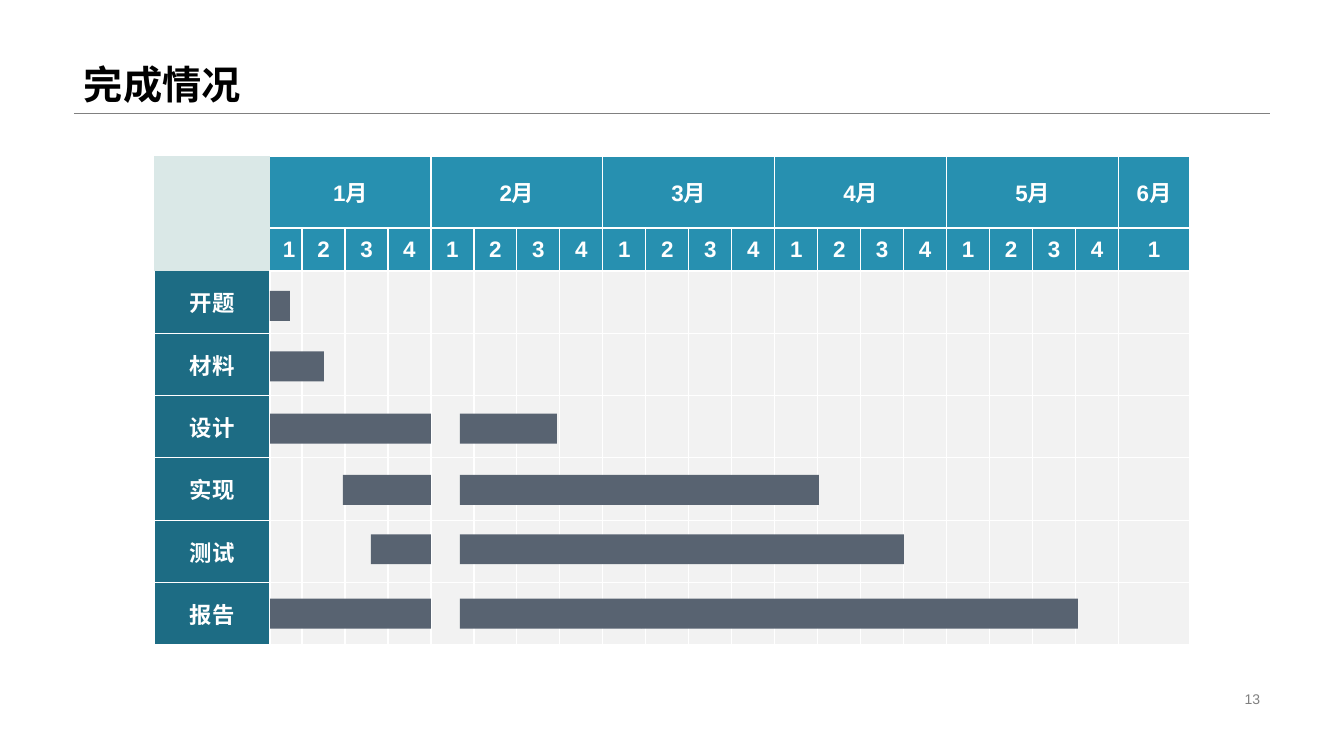
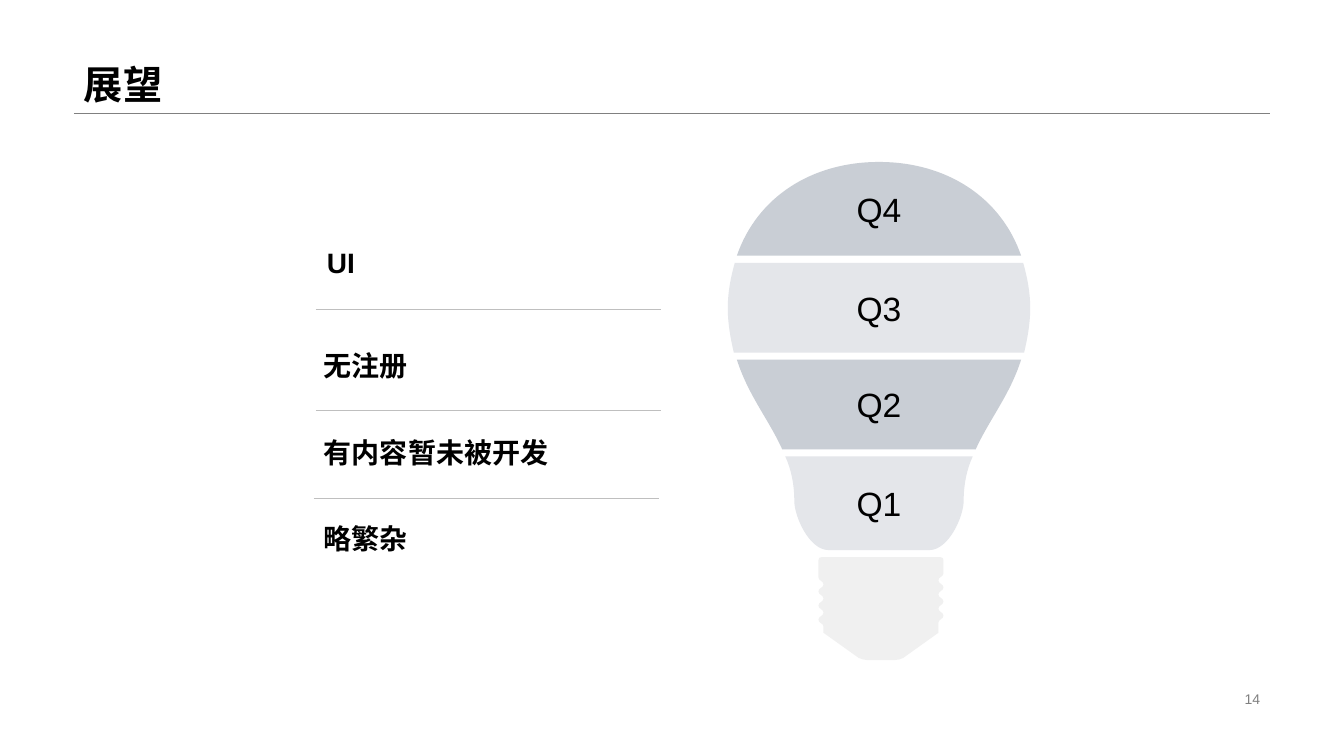
from dataclasses import dataclass

from lxml import etree
from pptx import Presentation
from pptx.dml.color import RGBColor
from pptx.enum.shapes import MSO_CONNECTOR, MSO_SHAPE
from pptx.enum.text import MSO_ANCHOR, PP_ALIGN
from pptx.oxml.ns import qn
from pptx.util import Pt

LEFT, CENTER, RIGHT = PP_ALIGN.LEFT, PP_ALIGN.CENTER, PP_ALIGN.RIGHT
MIDDLE, BOTTOM = MSO_ANCHOR.MIDDLE, MSO_ANCHOR.BOTTOM
RECT, STRAIGHT = MSO_SHAPE.RECTANGLE, MSO_CONNECTOR.STRAIGHT
SCALE = 914400 / 100.8


@dataclass(frozen=True)
class Theme:
    """Colours, font and type sizes of the deck."""
    font: str = "Arial"
    ink: str = "000000"
    white: str = "FFFFFF"
    grey: str = "808080"
    rule: str = "BFBFBF"
    corner: str = "DAE8E7"
    header: str = "2790B0"
    label: str = "1D6C84"
    grid: str = "F2F2F2"
    bar: str = "586371"
    band_dark: str = "C9CED5"
    band_light: str = "E4E6EA"
    socket: str = "F0F0F0"
    title_pt: int = 28
    band_pt: int = 24
    item_pt: int = 20
    cell_pt: int = 16
    number_pt: int = 10
    hairline_pt: float = 0.25
    border_pt: int = 1


T = Theme()

MONTHS = [("1月", 4), ("2月", 4), ("3月", 4), ("4月", 4), ("5月", 4), ("6月", 1)]
TASKS = [
    ("开题", 20, [(0, 20)]),
    ("材料", 18, [(0, 54)]),
    ("设计", 18, [(0, 161), (190, 287)]),
    ("实现", 17, [(73, 161), (190, 372), (372, 549)]),
    ("测试", 14, [(101, 161), (190, 372), (372, 634)]),
    ("报告", 16, [(0, 161), (190, 372), (372, 808)]),
]
LABEL_W, HEAD_H = 116, 115
ITEMS = [("UI", 3, 0), ("无注册", 0, 103), ("有内容暂未被开发", 0, 190), ("略繁杂", 0, 276)]
ITEM_RULES = [(2, 79), (2, 180), (0, 268)]
BANDS = [
    ("Q4", T.band_dark, (0, 0), [(67, 0, 121, 35, 141, 93)]),
    ("Q3", T.band_light, (143, 100),
     [(147, 114, 150, 129, 150, 145), (150, 161, 147, 176, 144, 189)]),
    ("Q2", T.band_dark, (141, 196), [(130, 231, 109, 256, 96, 285)]),
    ("Q1", T.band_light, (93, 292),
     [(87, 305, 84, 320, 84, 336), (84, 352, 69, 385, 50, 385)]),
]
BULB_HEIGHT = 494


def px(v):
    """Turn px into EMU."""
    return round(v * SCALE)


def rgb(color):
    """Turn a hex string into a colour."""
    return RGBColor.from_string(color)


def add_run(tf, text, size, color, bold=False, align=LEFT):
    """Write one run into the first paragraph of a text frame."""
    p = tf.paragraphs[0]
    p.alignment = align
    r = p.add_run()
    r.text = text
    r.font.name = T.font
    r.font.size = Pt(size)
    r.font.bold = bold
    r.font.color.rgb = rgb(color)
    return p


def add_text(s, box, text, size, color, bold=False, align=LEFT, anchor=BOTTOM):
    """Place a text box and return its paragraph."""
    tf = s.shapes.add_textbox(*map(px, box)).text_frame
    tf.word_wrap = True
    tf.vertical_anchor = anchor
    return add_run(tf, text, size, color, bold, align)


def add_rule(s, x, y, w, color):
    """Draw a horizontal hairline."""
    sp = s.shapes.add_connector(STRAIGHT, px(x), px(y), px(x + w), px(y))
    sp.line.color.rgb = rgb(color)
    sp.line.width = Pt(T.hairline_pt)
    etree.SubElement(sp._element.spPr, qn("a:effectLst"))


def paint(sp, color):
    """Give a shape a flat fill without line or shadow."""
    sp.fill.solid()
    sp.fill.fore_color.rgb = rgb(color)
    sp.line.fill.background()
    sp.shadow.inherit = False


def add_frame(prs, title, number):
    """Add a slide with its title, rule and page number."""
    s = prs.slides.add_slide(prs.slide_layouts[6])
    add_rule(s, 74, 113, 1196, T.grey)
    p = add_text(s, (74, 0, 1196, 113), title, T.title_pt, T.ink, bold=True)
    p.line_spacing = 0.9
    add_text(s, (950, 687, 320, 23), str(number), T.number_pt, T.grey,
             align=RIGHT, anchor=MIDDLE)
    return s


def style_cell(cell, fill, text="", sides="LRTB"):
    """Set a cell's fill, borders and centred text."""
    pr = cell._tc.get_or_add_tcPr()
    for side in "LRTB":
        ln = etree.SubElement(pr, qn(f"a:ln{side}"), w=str(Pt(T.border_pt)))
        if side in sides:
            solid = etree.SubElement(ln, qn("a:solidFill"))
            etree.SubElement(solid, qn("a:srgbClr"), val=T.white)
        else:
            etree.SubElement(ln, qn("a:noFill"))
    cell.fill.solid()
    cell.fill.fore_color.rgb = rgb(fill)
    if text:
        cell.margin_left = cell.margin_right = px(13)
        cell.margin_top = cell.margin_bottom = px(7)
        cell.vertical_anchor = MIDDLE
        add_run(cell.text_frame, text, T.cell_pt, T.white, True, CENTER)


def add_schedule(s, box):
    """Draw the month and week grid with its task labels and bars."""
    x, y, w, h = box
    widths = [LABEL_W, 32] + [43] * 19 + [71]
    row_h = (h - HEAD_H) / len(TASKS)
    heights = [72, HEAD_H - 72] + [row_h] * len(TASKS)
    table = s.shapes.add_table(len(heights), len(widths), *map(px, box)).table
    table.first_row = table.horz_banding = False
    for col, width in zip(table.columns, widths):
        col.width = px(width)
    for row, height in zip(table.rows, heights):
        row.height = px(height)
    table.cell(0, 0).merge(table.cell(1, 0))
    for i in range(2):
        style_cell(table.cell(i, 0), T.corner, sides="")
    col = 1
    for month, weeks in MONTHS:
        for week in range(weeks):
            sides = "RTB" if col == 1 else "LRTB"
            style_cell(table.cell(0, col), T.header, "" if week else month, sides)
            style_cell(table.cell(1, col), T.header, str(week + 1), sides)
            col += 1
        if weeks > 1:
            table.cell(0, col - weeks).merge(table.cell(0, col - 1))
    for i, (label, drop, spans) in enumerate(TASKS):
        style_cell(table.cell(i + 2, 0), T.label, label, "LRTB" if i else "LRB")
        for j in range(1, len(widths)):
            style_cell(table.cell(i + 2, j), T.grid)
        for start, end in spans:
            bar = s.shapes.add_shape(
                RECT, px(x + LABEL_W + start), px(y + HEAD_H + i * row_h + drop),
                px(end - start), px(30))
            paint(bar, T.bar)


def mirror(start, curves):
    """Return a side's mirror image, run from bottom to top."""
    flat = list(start) + [v for c in curves for v in c]
    pts = [(-a, b) for a, b in zip(flat[::2], flat[1::2])][::-1]
    rest = pts[1:]
    return [pts[0]] + [sum(rest[i:i + 3], ()) for i in range(0, len(rest), 3)]


def thread(x0, x1, top, step):
    """Return the curves of one side of the screw thread."""
    curves = []
    for i in range(7):
        y = top + step * i
        mid = y + step / 2
        curves.append((x0, mid, x1, mid, x1, y + step))
        x0, x1 = x1, x0
    return curves


def add_outline(s, box, start, segments, color):
    """Draw a closed outline of lines (2 values) and cubic curves (6 values)."""
    x, y, w, h = box
    k = h / BULB_HEIGHT
    flat = list(start) + [v for seg in segments for v in seg]
    pts = [(px(x + w / 2 + k * a), px(y + k * b))
           for a, b in zip(flat[::2], flat[1::2])]
    fb = s.shapes.build_freeform(*pts[0], scale=1.0)
    fb.add_line_segments(pts[1:], close=True)
    sp = fb.convert_to_shape()
    lines = iter(list(sp._element.iter(qn("a:lnTo"))))
    for seg in segments:
        first = next(lines)
        if len(seg) == 6:
            first.tag = qn("a:cubicBezTo")
            for _ in range(2):
                line = next(lines)
                first.append(line[0])
                line.getparent().remove(line)
    paint(sp, color)
    return sp


def add_bulb(s, box):
    """Draw the bulb as four labelled bands above a socket."""
    socket = [(64, 395), (64, 393, 63, 392, 61, 392), (-57, 392),
              (-59, 392, -60, 393, -60, 395), (-60, 412),
              *thread(-60, -55, 412, 7), (-55, 467), (-20, 492),
              (-17, 493, -15, 494, -12, 494), (16, 494),
              (19, 494, 22, 493, 24, 492), (59, 467), (59, 457),
              *thread(59, 64, 457, -7)]
    add_outline(s, box, (64, 408), socket, T.socket)
    for label, color, start, curves in BANDS:
        back = mirror(start, curves)
        sp = add_outline(s, box, start, curves + back, color)
        sp.text_frame.vertical_anchor = MIDDLE
        add_run(sp.text_frame, label, T.band_pt, T.ink, align=CENTER)


def add_items(s, box):
    """List the open points with hairlines between them."""
    x, y, w, h = box
    for text, dx, dy in ITEMS:
        add_text(s, (x + dx, y + dy, w, 54), text, T.item_pt, T.ink, bold=True)
    for dx, dy in ITEM_RULES:
        add_rule(s, x + dx, y + dy, 345, T.rule)


def main():
    """Build and save the deck."""
    prs = Presentation()
    prs.slide_width, prs.slide_height = px(1344), px(756)
    add_schedule(add_frame(prs, "完成情况", 13), (154, 156, 1036, 489))
    s = add_frame(prs, "展望", 14)
    add_bulb(s, (728, 162, 302, 498))
    add_items(s, (314, 230, 355, 330))
    prs.save("out.pptx")


if __name__ == "__main__":
    main()
